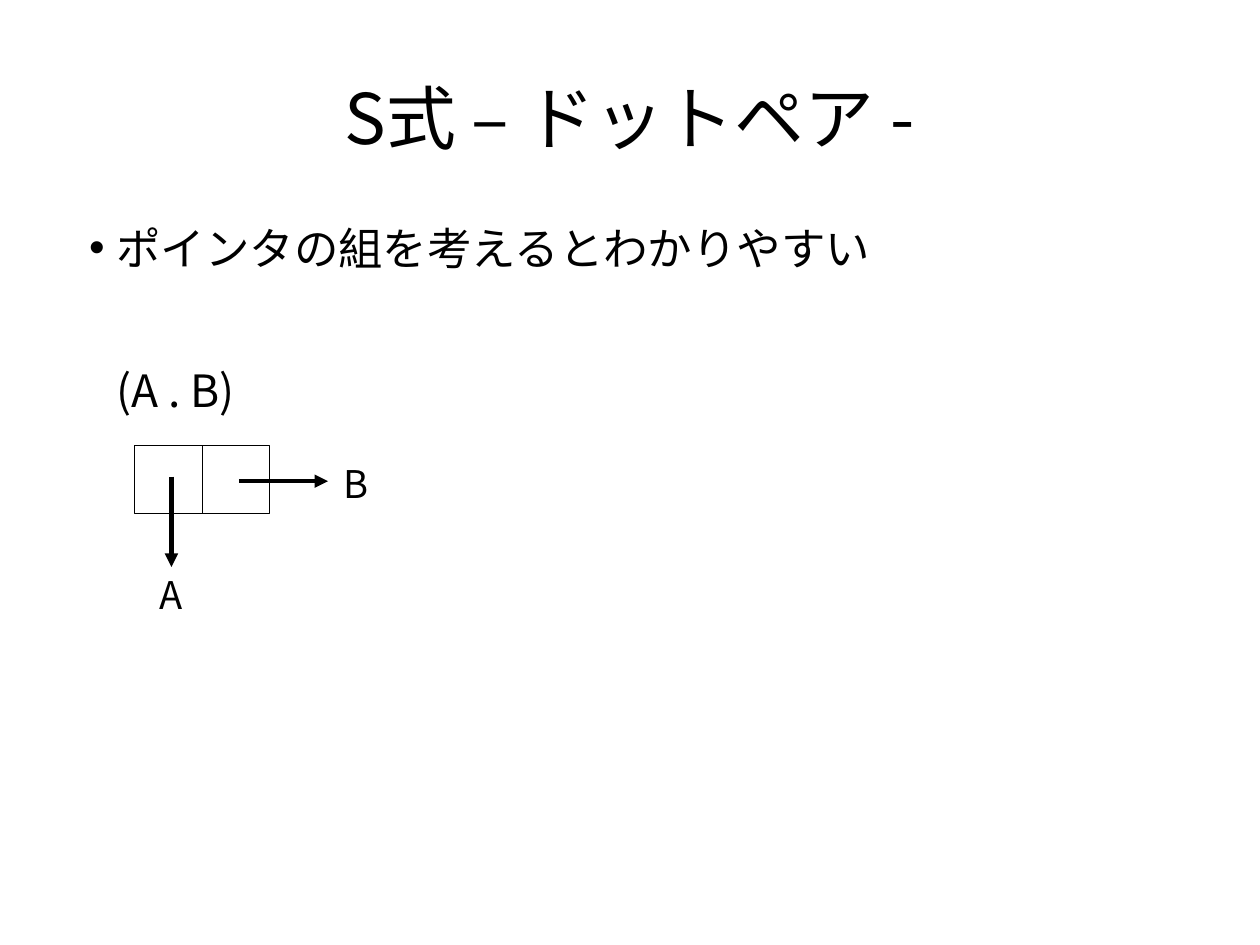
from lxml import etree
from pptx import Presentation
from pptx import util as u
from pptx.dml import color
from pptx.enum import shapes, text
from pptx.oxml import ns

FONT = "Noto Sans CJK JP"
BLACK = "000000"
WHITE = "FFFFFF"
CELL = 0.59


def rgb(code):
    return color.RGBColor.from_string(code)


def box(left, top, width, height):
    return [u.Inches(n) for n in (left, top, width, height)]


def add_run(para, words, size):
    run = para.add_run()
    run.text = words
    run.font.size = u.Pt(size)
    run.font.name = FONT
    run.font.color.rgb = rgb(BLACK)
    props = run._r.get_or_add_rPr()
    etree.SubElement(props, ns.qn("a:ea"), typeface=FONT)


def set_frame(frame, wrap=True, side=0, edge=0):
    frame.word_wrap = wrap
    frame.auto_size = text.MSO_AUTO_SIZE.NONE
    frame.margin_left = frame.margin_right = u.Inches(side)
    frame.margin_top = frame.margin_bottom = u.Inches(edge)


def add_title(slide, words):
    title = slide.shapes.title
    title.left, title.top, title.width, title.height = box(0.55, 0.38, 9.92, 1.28)
    frame = title.text_frame
    set_frame(frame)
    frame.vertical_anchor = text.MSO_ANCHOR.MIDDLE
    para = frame.paragraphs[0]
    para.alignment = text.PP_ALIGN.CENTER
    add_run(para, words, 44)


def set_indent(para, hang=0.0, mark=None):
    props = para._p.get_or_add_pPr()
    props.set("marL", str(u.Inches(0.47)))
    props.set("indent", str(u.Inches(hang)))
    if mark:
        etree.SubElement(props, ns.qn("a:buFont"), typeface="Arial")
        etree.SubElement(props, ns.qn("a:buChar"), char=mark)


def add_body(slide, point, pair):
    frame = slide.shapes.add_textbox(*box(0.55, 1.93, 9.92, 5.46)).text_frame
    set_frame(frame)
    first = frame.paragraphs[0]
    set_indent(first, -0.24, "•")
    first.space_after = u.Pt(11.3)
    add_run(first, point, 28)
    second = frame.add_paragraph()
    set_indent(second)
    second.space_before = u.Pt(45)
    add_run(second, pair, 28)


def add_cell(slide, left, top):
    cell = slide.shapes.add_shape(
        shapes.MSO_SHAPE.RECTANGLE, *box(left, top, CELL, CELL))
    cell.shadow.inherit = False
    cell.fill.solid()
    cell.fill.fore_color.rgb = rgb(WHITE)
    cell.line.color.rgb = rgb(BLACK)
    cell.line.width = u.Pt(0)


def add_arrow(slide, *ends):
    arrow = slide.shapes.add_connector(
        shapes.MSO_CONNECTOR.STRAIGHT, *box(*ends))
    arrow.line.color.rgb = rgb(BLACK)
    arrow.line.width = u.Pt(2.83)
    etree.SubElement(arrow.line._get_or_add_ln(), ns.qn("a:tailEnd"), type="triangle")
    etree.SubElement(arrow._element.spPr, ns.qn("a:effectLst"))


def add_label(slide, words, left, top):
    frame = slide.shapes.add_textbox(*box(left, top, 0.43, 0.55)).text_frame
    set_frame(frame, False, 0.1, 0.05)
    add_run(frame.paragraphs[0], words, 24)


def main():
    deck = Presentation()
    deck.slide_width = u.Inches(28 / 2.54)
    deck.slide_height = u.Inches(21 / 2.54)
    slide = deck.slides.add_slide(deck.slide_layouts[5])
    add_title(slide, "S式 – ドットペア -")
    add_body(slide, "ポインタの組を考えるとわかりやすい", "(A . B)")
    for col in range(2):
        add_cell(slide, 1.18 + col * CELL, 3.9)
    add_arrow(slide, 1.5, 4.17, 1.5, 4.96)
    add_arrow(slide, 2.09, 4.21, 2.87, 4.21)
    add_label(slide, "A", 1.3, 4.95)
    add_label(slide, "B", 2.91, 3.98)
    deck.save("out.pptx")


if __name__ == "__main__":
    main()
